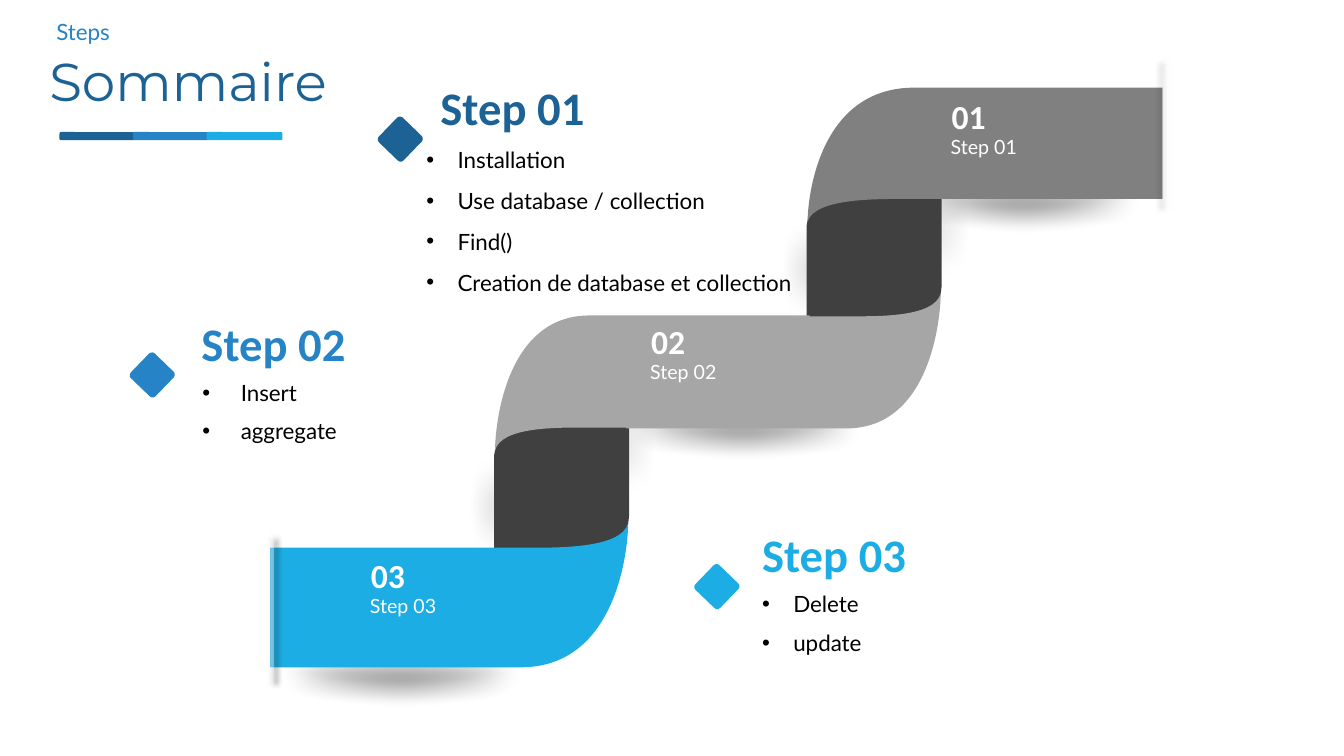
from dataclasses import dataclass

from lxml import etree
from pptx import Presentation
from pptx import util as u
from pptx.dml import color
from pptx.enum import shapes, text
from pptx.oxml import ns


@dataclass(frozen=True)
class Theme:
    navy: str = "1C6294"
    blue: str = "2683C6"
    cyan: str = "1CADE4"
    dark: str = "808080"
    light: str = "A6A6A6"
    fold: str = "404040"
    black: str = "000000"
    white: str = "FFFFFF"
    pale: str = "F9FBFC"
    display: str = "Montserrat"
    heading: str = "Calibri"
    body: str = "Lato"
    title_size: float = 38
    step_size: float = 33.3
    number_size: float = 24
    body_size: float = 16
    caption_size: float = 14


T = Theme()
A = "http://schemas.openxmlformats.org/drawingml/2006/main"

LENS = [(0, 0), (1, 0), (1, .03), (.973, .57, .76, 1, .5, 1), (.24, 1, .027, .57, 0, .03)]
BAND = [(.3, 0), (1, 0), (1, .83), (.3, .83), (.2, .83, .02, .82, 0, 1), (0, .83, .03, 0, .3, 0)]
FOLD = [(.31, .98), (0, .98), (0, .32), (.06, 0, .48, .01, .7, .01), (1, .01), (1, .64),
        (.96, 1, .53, .98, .31, .98)]
CAP = [(.92, 1), (1, 1), (1, 0), (.92, 0), (.41, 0, 0, .22, 0, .5), (0, .78, .41, 1, .92, 1)]


def rgb(value):
    return color.RGBColor.from_string(value)


def add_xml(parent, xml):
    element = etree.fromstring(f'<a:root xmlns:a="{A}">{xml}</a:root>')[0]
    parent.append(element)
    return element


def paint(sp, fill):
    sp.shadow.inherit = False
    sp.fill.solid()
    sp.fill.fore_color.rgb = rgb(fill)
    sp.line.fill.background()


def bend(sp, outline):
    lines = iter(list(sp._element.iter(ns.qn("a:lnTo"))))
    for segment in outline[1:]:
        corners = [next(lines) for _ in range(len(segment) // 2)]
        if len(corners) == 3:
            curve = etree.Element(ns.qn("a:cubicBezTo"))
            corners[0].addprevious(curve)
            for corner in corners:
                curve.append(corner[0])
                corner.getparent().remove(corner)


def add_outline(s, outline, box, fill, rotation=0):
    x, y, w, h = box
    points = [(u.Inches(x + w * px), u.Inches(y + h * py))
              for segment in outline for px, py in zip(segment[::2], segment[1::2])]
    builder = s.shapes.build_freeform(*points[0], scale=1.0)
    builder.add_line_segments(points[1:], close=True)
    sp = builder.convert_to_shape()
    bend(sp, outline)
    paint(sp, fill)
    sp.rotation = rotation
    return sp


def add_round(s, box, fill):
    sp = s.shapes.add_shape(shapes.MSO_SHAPE.ROUNDED_RECTANGLE, *map(u.Inches, box))
    paint(sp, fill)
    return sp


def add_text(s, box, lines, size, font, fill, bold=False, spacing=.9, indent=0):
    tf = s.shapes.add_textbox(*map(u.Inches, box)).text_frame
    tf.word_wrap = True
    tf.vertical_anchor = text.MSO_ANCHOR.TOP
    for i, line in enumerate(lines):
        p = tf.add_paragraph() if i else tf.paragraphs[0]
        p.line_spacing = spacing
        if i:
            p.space_before = u.Pt(10)
        if indent:
            pPr = p._p.get_or_add_pPr()
            pPr.set("marL", str(u.Inches(indent)))
            pPr.set("indent", str(-u.Inches(indent)))
            add_xml(pPr, '<a:buFont typeface="Arial"/>')
            add_xml(pPr, '<a:buChar char="•"/>')
        r = p.add_run()
        r.text = line
        r.font.size, r.font.name, r.font.bold = u.Pt(size), font, bold
        r.font.color.rgb = rgb(fill)


def add_soft_shadow(s, box, rotation=0):
    sp = add_outline(s, LENS, box, T.black, rotation)
    spPr = sp._element.spPr
    add_xml(spPr.find(ns.qn("a:solidFill"))[0], '<a:alpha val="74000"/>')
    add_xml(spPr.find(ns.qn("a:effectLst")), f'<a:softEdge rad="{u.Pt(18)}"/>')


def add_cap(s, box, rotation, stops, shadow):
    sp = add_outline(s, CAP, box, T.white, rotation)
    spPr = sp._element.spPr
    gradient = "".join(
        f'<a:gs pos="{pos * 1000}"><a:srgbClr val="{fill}"><a:alpha val="{alpha * 1000}"/>'
        f'</a:srgbClr></a:gs>' for pos, fill, alpha in stops)
    solid = spPr.find(ns.qn("a:solidFill"))
    solid.addprevious(add_xml(
        spPr, f'<a:gradFill rotWithShape="1"><a:gsLst>{gradient}</a:gsLst>'
              '<a:lin ang="0" scaled="0"/></a:gradFill>'))
    spPr.remove(solid)
    fill, alpha, angle = shadow
    add_xml(spPr.find(ns.qn("a:effectLst")),
            f'<a:outerShdw blurRad="{u.Pt(4)}" dist="{u.Pt(3)}" dir="{angle * 60000}" '
            f'rotWithShape="0"><a:srgbClr val="{fill}"><a:alpha val="{alpha * 1000}"/>'
            '</a:srgbClr></a:outerShdw>')


def ribbon_end(s, box, rotation, lift, edge_alpha, angle):
    x, y, w, h = box
    for dy, alpha, shadow in ((0, 20, (T.white, 40, 315)),
                              (lift, edge_alpha, (T.black, 100, angle))):
        add_cap(s, (x, y + dy, w, h), rotation,
                [(4, T.white, 0), (71, T.white, 0), (91, T.pale, alpha)], shadow)


def ribbon(s, box):
    x, y, _, _ = box
    shadows = [(5.03, 1.12, 3.73, .52, 270), (1.92, 3.27, 3.73, .52, 270),
               (2.66, 3.09, 4.46, .63, 0), (.92, 3.88, 3.04, .55, 90),
               (4.02, 1.53, 3.04, .55, 90), (2.56, 4.98, 1.79, .63, 302.5),
               (5.67, 2.64, 1.75, .63, 294), (-.73, 5.54, 4.46, .63, 0),
               (5.56, .84, 4.25, .63, 0)]
    for dx, dy, w, h, rotation in shadows:
        add_soft_shadow(s, (x + dx, y + dy, w, h), rotation)
    for dx, dy in ((5.53, .79), (2.43, 3.07)):
        add_outline(s, FOLD, (x + dx, y + dy, 1.34, 1.83), T.fold)
    bands = [(.21, 4.32, 3.55, 1.43, T.cyan, 180), (2.44, 2.26, 3.12, 1.34, T.light, 0),
             (3.74, 2.04, 3.12, 1.34, T.light, 180), (5.54, 0, 3.52, 1.33, T.dark, 0)]
    for dx, dy, w, h, fill, rotation in bands:
        add_outline(s, BAND, (x + dx, y + dy, w, h), fill, rotation)
    for number, dx, dy in (("01", 6.87, .08), ("02", 3.89, 2.31), ("03", 1.11, 4.63)):
        add_text(s, (x + dx, y + dy, .59, .51), [number], T.number_size, T.heading,
                 T.white, bold=True)
        add_text(s, (x + dx - .01, y + dy + .37, 1.6, .59), [f"Step {number}"],
                 T.caption_size, T.body, T.white)
    ribbon_end(s, (x + 9.06, y - .23, .24, 1.45), 180, -.04, 12, 135)
    ribbon_end(s, (x, y + 4.46, .24, 1.45), 0, .02, 30, 0)


def header(s, box):
    x, y, w, _ = box
    add_text(s, (x, y + .34, w, 1.14), ["Sommaire"], T.title_size, T.display, T.navy)
    for i, fill in enumerate((T.navy, T.blue, T.cyan)):
        add_round(s, (x + .2 + i * .73, y + 1.15, .75, .08), fill)
    add_text(s, (x + .07, y, 2.89, .38), ["Steps"], T.body_size, T.body, T.blue)


def step(s, box, title, items, fill, marker_dx, list_dx, indent, spacing):
    x, y, w, h = box
    diamond = add_round(s, (x + marker_dx, y + .37, .34, .34), fill)
    diamond.adjustments[0] = .118
    diamond.rotation = 43.9
    add_text(s, (x, y, 2.42, .55), [title], T.step_size, T.heading, fill,
             bold=True, spacing=.8)
    add_text(s, (x + list_dx, y + .56, w, h - .56), items, T.body_size, T.body, T.black,
             spacing=spacing, indent=indent)


def main():
    prs = Presentation()
    prs.slide_width, prs.slide_height = u.Inches(13.33), u.Inches(7.5)
    s = prs.slides.add_slide(prs.slide_layouts[6])
    ribbon(s, (2.47, .87, 9.3, 6.17))
    header(s, (.39, .16, 3.49, 1.48))
    step(s, (4.27, .84, 4.68, 2.25), "Step 01",
         ["Installation", "Use database / collection", "Find()",
          "Creation de database et collection"], T.navy, -.47, -.14, .31, 1.0)
    step(s, (1.9, 3.18, 1.9, 1.55), "Step 02", ["Insert", "aggregate"],
         T.blue, -.56, .01, .38, .9)
    step(s, (7.46, 5.28, 2.89, 1.53), "Step 03", ["Delete", "update"],
         T.cyan, -.52, 0, .31, .9)
    prs.save("out.pptx")


if __name__ == "__main__":
    main()
